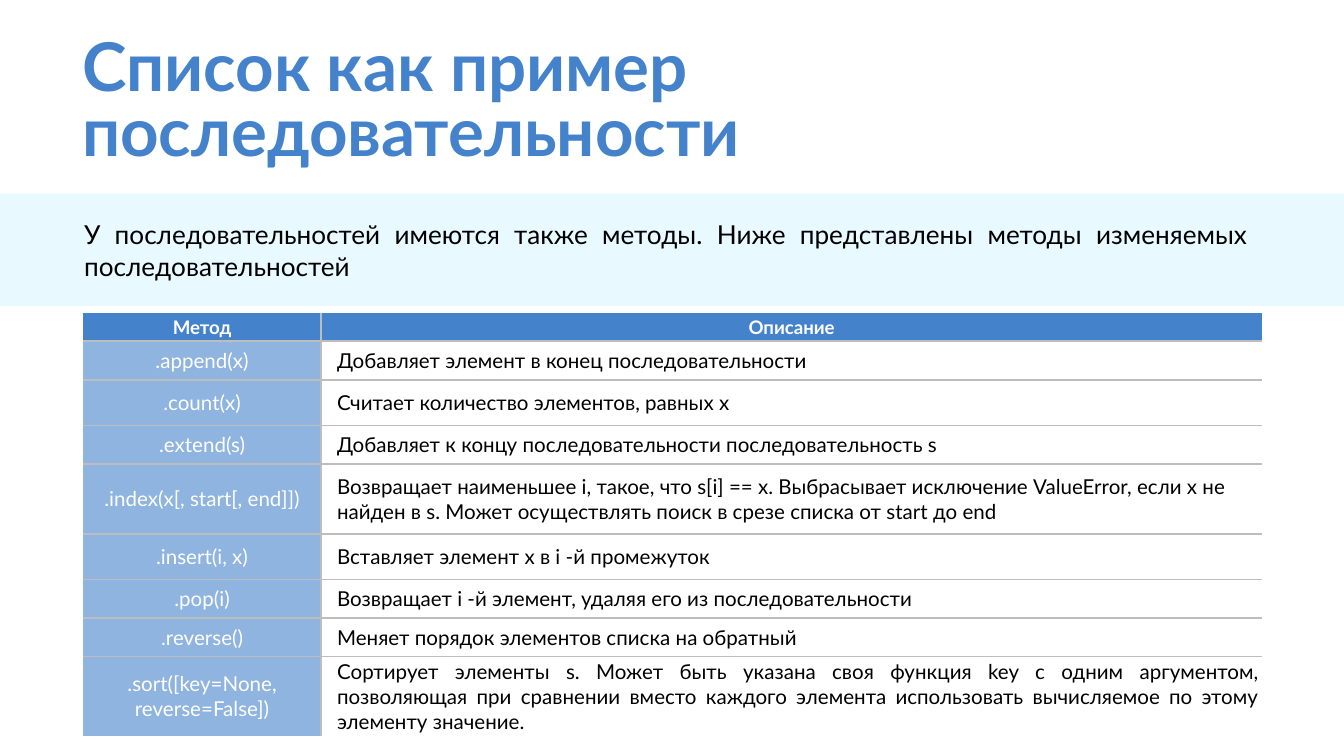
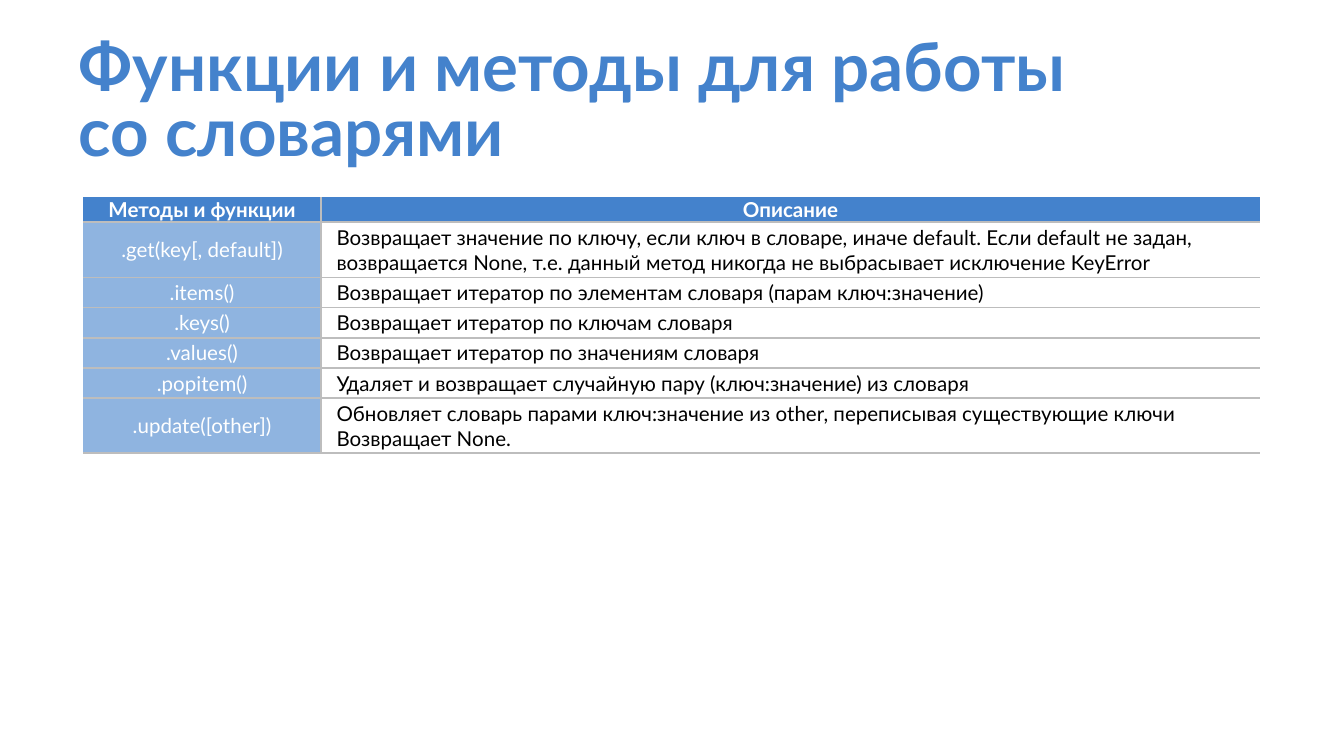
from dataclasses import dataclass

import pptx
import pptx.dml.color
import pptx.enum.shapes
import pptx.enum.text
import pptx.oxml
import pptx.oxml.ns
import pptx.util
from pptx.util import Cm, Pt

COLORS = {
    "blue": "4482CC",
    "light_blue": "8FB4E0",
    "band": "E8F9FF",
    "rule": "BDBDBD",
    "white": "FFFFFF",
    "black": "000000",
}
FONT = "Lato"
TITLE_ONLY_LAYOUT = 5
SLIDE_WIDTH, SLIDE_HEIGHT = Cm(25.4), Cm(14.29)
TABLE_LEFT = Cm(1.57)
METHOD_WIDTH = Cm(4.5)
BORDER_WIDTH = Pt(1)

Align = pptx.enum.text.PP_ALIGN
Anchor = pptx.enum.text.MSO_ANCHOR


@dataclass(frozen=True)
class Box:
    left: float
    top: float
    width: float
    height: float

    def lengths(self) -> tuple:
        return Cm(self.left), Cm(self.top), Cm(self.width), Cm(self.height)


@dataclass(frozen=True)
class MethodRow:
    method: str
    description: str
    height: float
    align: Align = Align.LEFT


@dataclass(frozen=True)
class MethodTable:
    heading: str
    top: float
    height: float
    description_width: float
    header_height: float
    header_size: float
    header_inset: float
    indent: float
    rows: tuple[MethodRow, ...]
    closed: bool = True  # rule under the last row


@dataclass(frozen=True)
class CellStyle:
    fill: str
    color: str
    size: float
    align: Align
    borders: str
    inset_x: float = 0.05
    inset_y: float = 0.05
    bold: bool = False
    indent: float = 0


def rgb(name: str) -> pptx.dml.color.RGBColor:
    return pptx.dml.color.RGBColor.from_string(COLORS[name])


def format_text(para, size: float, color: str, bold: bool = False) -> None:
    for span in para.runs:
        span.font.name = FONT
        span.font.size = Pt(size)
        span.font.bold = bold
        span.font.color.rgb = rgb(color)


def set_borders(cell, sides: str) -> None:
    """Draw the listed sides (from L, R, T, B) and clear the others."""
    properties = cell._tc.get_or_add_tcPr()
    namespace = pptx.oxml.ns.nsdecls("a")
    for side in "LRTB":
        paint = "<a:noFill/>"
        if side in sides:
            paint = f'<a:solidFill><a:srgbClr val="{COLORS["rule"]}"/></a:solidFill>'
        properties.append(pptx.oxml.parse_xml(
            f'<a:ln{side} {namespace} w="{int(BORDER_WIDTH)}">{paint}</a:ln{side}>'))


def fill_cell(cell, text: str, style: CellStyle) -> None:
    cell.margin_left = cell.margin_right = Cm(style.inset_x)
    cell.margin_top = cell.margin_bottom = Cm(style.inset_y)
    cell.vertical_anchor = Anchor.MIDDLE
    set_borders(cell, style.borders)
    cell.fill.solid()
    cell.fill.fore_color.rgb = rgb(style.fill)
    cell.text_frame.text = text
    para = cell.text_frame.paragraphs[0]
    para.alignment = style.align
    if style.indent:
        para._p.get_or_add_pPr().set("marL", str(int(Cm(style.indent))))
    format_text(para, style.size, style.color, style.bold)


def add_title_page(deck, title: str, box: Box):
    page = deck.slides.add_slide(deck.slide_layouts[TITLE_ONLY_LAYOUT])
    shape = page.shapes.title
    shape.left, shape.top, shape.width, shape.height = box.lengths()
    frame = shape.text_frame
    frame.text = title
    frame.word_wrap = True
    frame.auto_size = pptx.enum.text.MSO_AUTO_SIZE.NONE
    frame.vertical_anchor = Anchor.TOP
    frame.margin_left = frame.margin_right = Cm(0.25)
    frame.margin_top = frame.margin_bottom = Cm(0.25)
    para = frame.paragraphs[0]
    para.alignment = Align.LEFT
    para.line_spacing = 0.8
    format_text(para, 36, "blue", bold=True)
    return page


def add_intro(page, text: str, band_box: Box, text_box: Box) -> None:
    band = page.shapes.add_shape(
        pptx.enum.shapes.MSO_SHAPE.RECTANGLE, *band_box.lengths())
    band.shadow.inherit = False
    band.fill.solid()
    band.fill.fore_color.rgb = rgb("band")
    band.line.fill.background()

    frame = page.shapes.add_textbox(*text_box.lengths()).text_frame
    frame.word_wrap = True
    frame.text = text
    para = frame.paragraphs[0]
    para.alignment = Align.JUSTIFY
    format_text(para, 14, "black")


def add_method_table(page, content: MethodTable) -> None:
    description_width = Cm(content.description_width)
    frame = page.shapes.add_table(
        len(content.rows) + 1, 2, TABLE_LEFT, Cm(content.top),
        METHOD_WIDTH + description_width, Cm(content.height))
    table = frame.table
    table.first_row = table.horz_banding = False
    table.columns[0].width = METHOD_WIDTH
    table.columns[1].width = description_width

    # Header row
    table.rows[0].height = Cm(content.header_height)
    for column, (text, borders) in enumerate(
            ((content.heading, "RB"), ("Описание", "LB"))):
        fill_cell(table.cell(0, column), text, CellStyle(
            "blue", "white", content.header_size, Align.CENTER, borders,
            inset_x=content.header_inset, inset_y=0, bold=True))

    # Method rows
    for index, row in enumerate(content.rows, start=1):
        table.rows[index].height = Cm(row.height)
        is_last = index == len(content.rows)
        rules = "T" if is_last and not content.closed else "TB"
        fill_cell(table.cell(index, 0), row.method, CellStyle(
            "light_blue", "white", 11, Align.CENTER, "R" + rules))
        fill_cell(table.cell(index, 1), row.description, CellStyle(
            "white", "black", 11, row.align, "L" + rules, indent=content.indent))
    frame.height = Cm(content.height)


SEQUENCE_METHODS = MethodTable(
    heading="Метод", top=5.91, height=8, description_width=17.78,
    header_height=0.54, header_size=10, header_inset=0.16, indent=0.25,
    closed=False,
    rows=(
        MethodRow(".append(x)", "Добавляет элемент в конец последовательности", 0.73),
        MethodRow(".count(x)", "Считает количество элементов, равных x", 0.86),
        MethodRow(".extend(s)",
                  "Добавляет к концу последовательности последовательность s", 0.73),
        MethodRow(".index(x[, start[, end]])",
                  "Возвращает наименьшее i, такое, что s[i] == x. Выбрасывает "
                  "исключение ValueError, если x не найден в s. Может осуществлять "
                  "поиск в срезе списка от start до end", 1.32),
        MethodRow(".insert(i, x)", "Вставляет элемент x в i -й промежуток", 0.86),
        MethodRow(".pop(i)",
                  "Возвращает i -й элемент, удаляя его из последовательности", 0.73),
        MethodRow(".reverse()", "Меняет порядок элементов списка на обратный", 0.73),
        MethodRow(".sort([key=None, reverse=False])",
                  "Сортирует элементы s. Может быть указана своя функция key с одним "
                  "аргументом, позволяющая при сравнении вместо каждого элемента "
                  "использовать вычисляемое по этому элементу значение.",
                  0.73, Align.JUSTIFY),
    ),
)

DICTIONARY_METHODS = MethodTable(
    heading="Методы и функции", top=3.73, height=4.83, description_width=17.74,
    header_height=0.46, header_size=11, header_inset=0.18, indent=0.24,
    rows=(
        MethodRow(".get(key[, default])",
                  "Возвращает значение по ключу, если ключ в словаре, иначе default. "
                  "Если default не задан, возвращается None, т.е. данный метод никогда "
                  "не выбрасывает исключение KeyError", 0.94),
        MethodRow(".items()",
                  "Возвращает итератор по элементам словаря (парам ключ:значение)", 0.56),
        MethodRow(".keys()", "Возвращает итератор по ключам словаря", 0.56),
        MethodRow(".values()", "Возвращает итератор по значениям словаря", 0.56),
        MethodRow(".popitem()",
                  "Удаляет и возвращает случайную пару (ключ:значение) из словаря", 0.56),
        MethodRow(".update([other])",
                  "Обновляет словарь парами ключ:значение из other, переписывая "
                  "существующие ключи Возвращает None.", 0.94),
    ),
)


def main() -> None:
    deck = pptx.Presentation()
    deck.slide_width, deck.slide_height = SLIDE_WIDTH, SLIDE_HEIGHT

    # Sequence methods
    page = add_title_page(deck, "Список как пример последовательности",
                          Box(1.3, 0.51, 24.1, 2.95))
    add_intro(page,
              "У последовательностей имеются также методы. Ниже представлены "
              "методы изменяемых последовательностей",
              Box(0, 3.66, 25.4, 2.13), Box(1.34, 4.01, 22.5, 1.45))
    add_method_table(page, SEQUENCE_METHODS)

    # Dictionary methods
    page = add_title_page(deck, "Функции и методы для работы со словарями",
                          Box(1.24, 0.51, 19.23, 1.93))
    add_method_table(page, DICTIONARY_METHODS)

    deck.save("out.pptx")


if __name__ == "__main__":
    main()
